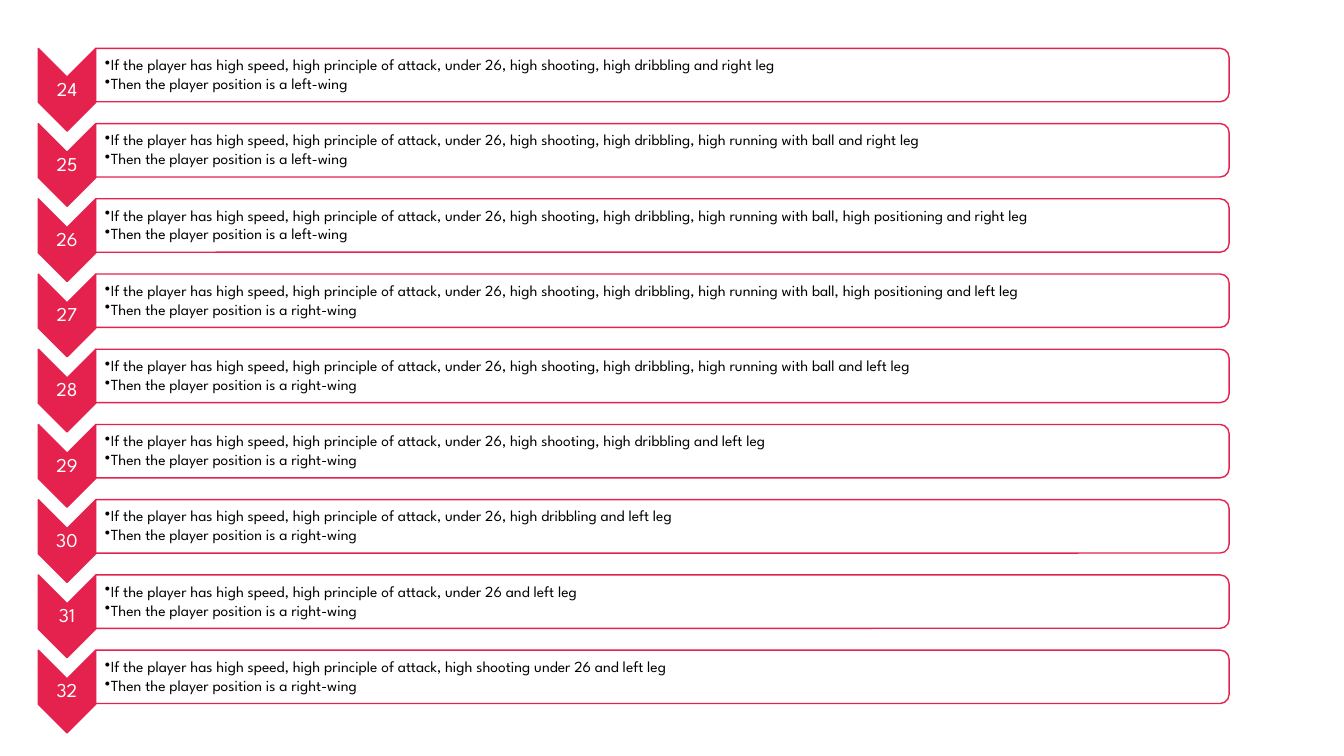
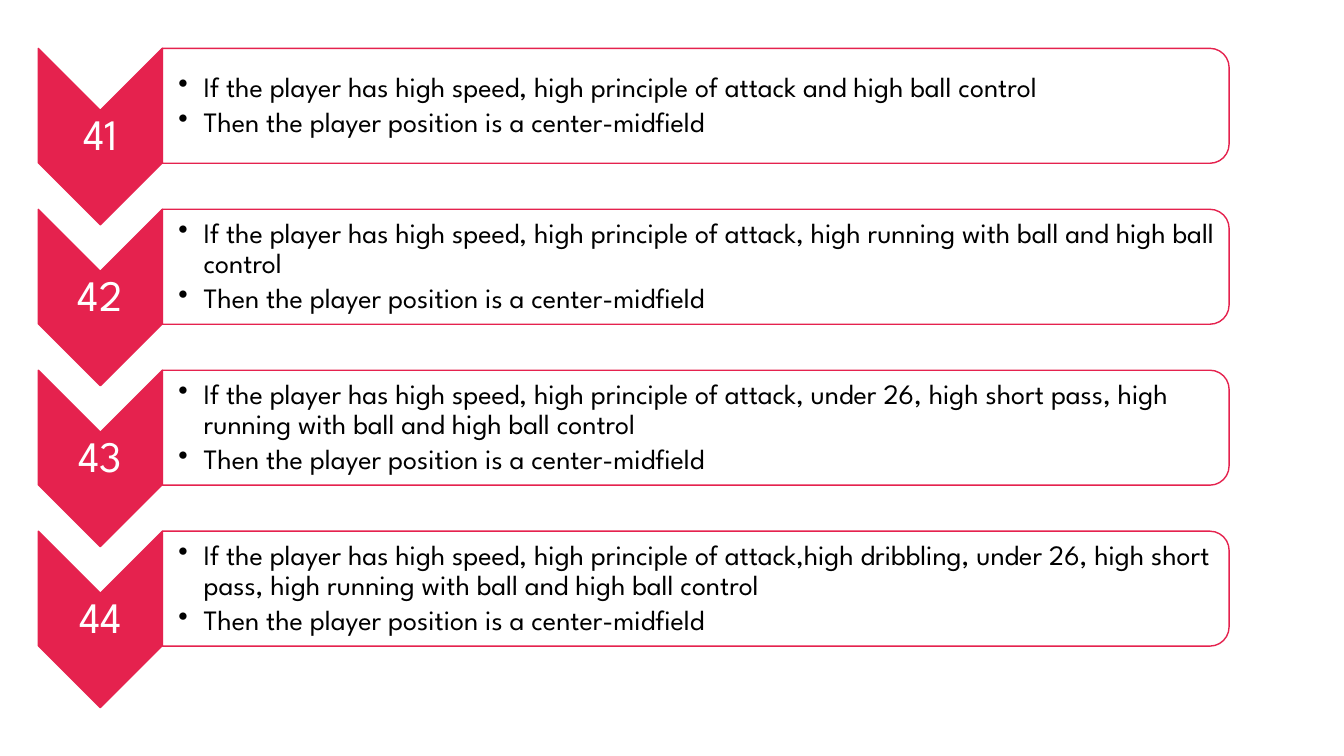
import pptx
import pptx.dml.color
import pptx.enum.shapes
import pptx.enum.text
import pptx.oxml.ns
import pptx.util
from dataclasses import dataclass
from lxml import etree

Inches = pptx.util.Inches
Pt = pptx.util.Pt
Shape = pptx.enum.shapes.MSO_SHAPE
Align = pptx.enum.text.PP_ALIGN

COLORS = {"accent": "E5224E", "panel": "FFFFFF", "number": "FFFFFF", "body": "000000"}
FONT = "League Spartan"
LEFT = 0.38
RIGHT = 12.19
FIRST_TOP = 0.48
PREMISE = "If the player has high speed, high principle of attack"
CONCLUSION = "Then the player position is a "


@dataclass
class Layout:
    last_top: float
    chevron_width: float
    chevron_height: float
    panel_height: float
    number_size: int
    body_size: int
    body_margin: float
    edge: float
    indent: float


COMPACT = Layout(6.45, 0.57, 0.82, 0.53, 14, 11, 0.09, 0.03, 0.06)
LARGE = Layout(5.27, 1.23, 1.75, 1.14, 31, 20, 0.16, 0.06, 0.25)

WING_RULES = [
    (24, ", under 26, high shooting, high dribbling and right leg", "left-wing"),
    (25, ", under 26, high shooting, high dribbling, high running with ball and right leg", "left-wing"),
    (26, ", under 26, high shooting, high dribbling, high running with ball, high positioning and right leg", "left-wing"),
    (27, ", under 26, high shooting, high dribbling, high running with ball, high positioning and left leg", "right-wing"),
    (28, ", under 26, high shooting, high dribbling, high running with ball and left leg", "right-wing"),
    (29, ", under 26, high shooting, high dribbling and left leg", "right-wing"),
    (30, ", under 26, high dribbling and left leg", "right-wing"),
    (31, ", under 26 and left leg", "right-wing"),
    (32, ", high shooting under 26 and left leg", "right-wing"),
]
MIDFIELD_RULES = [
    (41, " and high ball control", "center-midfield"),
    (42, ", high running with ball and high ball control", "center-midfield"),
    (43, ", under 26, high short pass, high running with ball and high ball control", "center-midfield"),
    (44, ",high dribbling, under 26, high short pass, high running with ball and high ball control", "center-midfield"),
]


def rgb(name):
    return pptx.dml.color.RGBColor.from_string(COLORS[name])


class RuleDeck:
    def __init__(self):
        self.presentation = pptx.Presentation()
        self.presentation.slide_width = Inches(13.33)
        self.presentation.slide_height = Inches(7.5)
        self.slide = None

    def turned_shape(self, kind, left, top, width, height, fill):
        center_x, center_y = left + width / 2, top + height / 2
        shape = self.slide.shapes.add_shape(
            kind, Inches(center_x - height / 2), Inches(center_y - width / 2),
            Inches(height), Inches(width))
        shape.rotation = 90
        shape.shadow.inherit = False
        shape.fill.solid()
        shape.fill.fore_color.rgb = rgb(fill)
        shape.line.color.rgb = rgb("accent")
        shape.line.width = Pt(1)
        return shape

    def text(self, left, top, width, height, lines, size, color, spacing,
             margin=0.01, indent=None):
        box = self.slide.shapes.add_textbox(
            Inches(left), Inches(top), Inches(width), Inches(height))
        frame = box.text_frame
        frame.word_wrap = True
        frame.vertical_anchor = pptx.enum.text.MSO_ANCHOR.MIDDLE
        frame.margin_left = Inches(margin)
        frame.margin_top = frame.margin_right = frame.margin_bottom = Inches(0.01)
        for index, line in enumerate(lines):
            paragraph = frame.add_paragraph() if index else frame.paragraphs[0]
            paragraph.line_spacing = 0.9
            paragraph.space_after = Pt(size * spacing)
            if indent is None:
                paragraph.alignment = Align.CENTER
            else:
                self.bullet(paragraph, indent)
            run = paragraph.add_run()
            run.text = line
            run.font.name = FONT
            run.font.size = Pt(size)
            run.font.color.rgb = rgb(color)

    def bullet(self, paragraph, indent):
        paragraph.alignment = Align.LEFT
        properties = paragraph._p.get_or_add_pPr()
        properties.set("marL", str(Inches(indent)))
        properties.set("indent", str(-Inches(indent)))
        etree.SubElement(properties, pptx.oxml.ns.qn("a:buChar")).set("char", "•")

    def chevron(self, top, number, layout):
        width, height = layout.chevron_width, layout.chevron_height
        self.turned_shape(Shape.CHEVRON, LEFT, top, width, height, "accent")
        self.text(LEFT, top + width / 2, width, height - width, [str(number)],
                  layout.number_size, "number", 0.35)

    def panel(self, top, lines, layout):
        left = LEFT + layout.chevron_width
        width = RIGHT - left
        shape = self.turned_shape(Shape.ROUND_2_SAME_RECTANGLE, left, top,
                                  width, layout.panel_height, "panel")
        color = shape.fill._xPr.find(".//" + pptx.oxml.ns.qn("a:srgbClr"))
        etree.SubElement(color, pptx.oxml.ns.qn("a:alpha")).set("val", "90000")
        self.text(left, top + layout.edge, width - layout.edge,
                  layout.panel_height - 2 * layout.edge, lines, layout.body_size,
                  "body", 0.15, layout.body_margin, layout.indent)

    def rule_slide(self, rules, layout):
        self.slide = self.presentation.slides.add_slide(self.presentation.slide_layouts[6])
        pitch = (layout.last_top - FIRST_TOP) / (len(rules) - 1)
        for index, (number, condition, position) in enumerate(rules):
            top = FIRST_TOP + index * pitch
            self.chevron(top, number, layout)
            self.panel(top, [PREMISE + condition, CONCLUSION + position], layout)


def main():
    deck = RuleDeck()
    deck.rule_slide(WING_RULES, COMPACT)
    deck.rule_slide(MIDFIELD_RULES, LARGE)
    deck.presentation.save("out.pptx")


if __name__ == "__main__":
    main()
